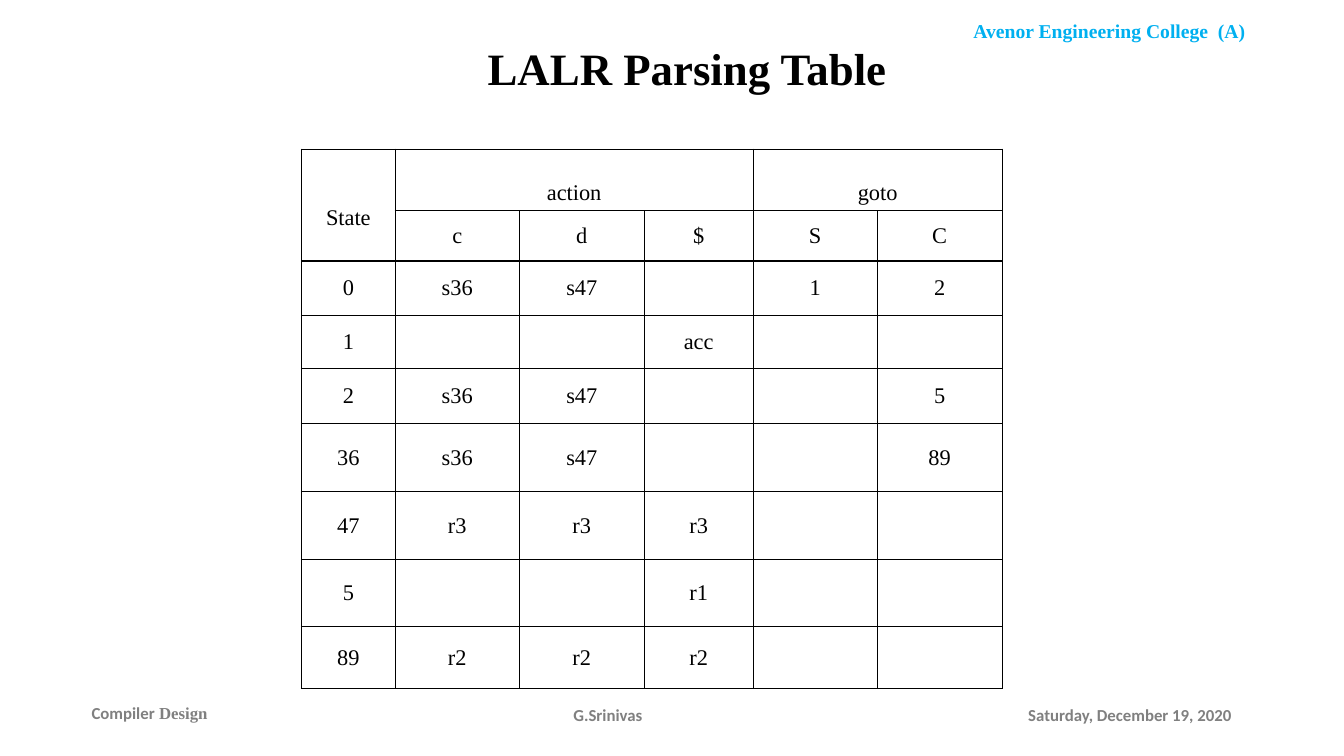
from dataclasses import dataclass

from lxml.etree import SubElement
from pptx import Presentation
from pptx.dml.color import RGBColor
from pptx.enum.text import MSO_ANCHOR as Anchor, MSO_AUTO_SIZE as AutoSize, PP_ALIGN as Align
from pptx.oxml.ns import qn
from pptx.util import Pt

PX = 9144  # one px is a hundredth of an inch
SERIF, SANS = "Times New Roman", "Calibri"
BLACK, GRAY, SKY = "000000", "808080", "00B0F0"


@dataclass(frozen=True)
class Run:
    text: str
    font: str
    size: int
    color: str
    bold: bool = True


@dataclass(frozen=True)
class Label:
    box: tuple[int, int, int, int]
    runs: tuple[Run, ...]
    align: Align
    anchor: Anchor = Anchor.TOP


LABELS = (
    Label((909, 14, 383, 34), (Run("Avenor Engineering College  (A)", SERIF, 14, SKY),), Align.CENTER),
    Label((1010, 694, 230, 40), (Run("Saturday, December 19, 2020", SANS, 12, GRAY),), Align.LEFT),
    Label((453, 694, 300, 40), (Run("G.Srinivas", SANS, 12, GRAY),), Align.CENTER),
    Label((81, 687, 211, 40),
          (Run("Compiler", SANS, 12, GRAY), Run(" Design", SERIF, 12, GRAY)),
          Align.JUSTIFY, Anchor.MIDDLE),
)
TITLE = Label((51, 17, 1261, 100), (Run("LALR Parsing Table", SERIF, 32, BLACK),),
              Align.CENTER, Anchor.MIDDLE)

TABLE_LEFT, TABLE_TOP = 299, 148
COLUMN_WIDTHS = (93, 123, 124, 108, 123, 124)
ROW_HEIGHTS = (61, 50, 54, 53, 54, 68, 67, 67, 61)
ROWS = (
    ("State", "action", "", "", "goto", ""),
    ("", "c", "d", "$", "S", "C"),
    ("0", "s36", "s47", "", "1", "2"),
    ("1", "", "", "acc", "", ""),
    ("2", "s36", "s47", "", "", "5"),
    ("36", "s36", "s47", "", "", "89"),
    ("47", "r3", "r3", "r3", "", ""),
    ("5", "", "", "r1", "", ""),
    ("89", "r2", "r2", "r2", "", ""),
)
MERGES = (((0, 0), (1, 0)), ((0, 1), (0, 3)), ((0, 4), (0, 5)))
HEADER_DROP = 25  # pushes the group headings down by one line


def rgb(color: str) -> RGBColor:
    return RGBColor.from_string(color)


def apply(target, values: dict) -> None:
    for name, value in values.items():
        setattr(target, name, value)


def format_font(font, run: Run) -> None:
    apply(font, {"name": run.font, "size": Pt(run.size), "bold": run.bold})
    font.color.rgb = rgb(run.color)


def write(paragraph, runs: tuple[Run, ...], align: Align) -> None:
    paragraph.alignment = align
    for run in runs:
        piece = paragraph.add_run()
        piece.text = run.text
        format_font(piece.font, run)


def fill_label(shape, label: Label) -> None:
    left, top, width, height = (length * PX for length in label.box)
    apply(shape, {"left": left, "top": top, "width": width, "height": height})
    apply(shape.text_frame, {"word_wrap": True, "auto_size": AutoSize.NONE,
                             "vertical_anchor": label.anchor})
    write(shape.text_frame.paragraphs[0], label.runs, label.align)


def add_borders(cell, color: str) -> None:
    properties = cell._tc.get_or_add_tcPr()
    for side in ("a:lnL", "a:lnR", "a:lnT", "a:lnB"):
        line = SubElement(properties, qn(side), w=str(Pt(1)))
        SubElement(SubElement(line, qn("a:solidFill")), qn("a:srgbClr"), val=color)


def fill_cell(cell, text: str, drop: int) -> None:
    add_borders(cell, BLACK)
    cell.fill.background()
    apply(cell, {"margin_left": 7 * PX, "margin_right": 7 * PX, "margin_top": drop * PX,
                 "margin_bottom": 0, "vertical_anchor": Anchor.MIDDLE})
    if text:
        write(cell.text_frame.paragraphs[0], (Run(text, SERIF, 16, BLACK, False),), Align.CENTER)


def add_parsing_table(slide) -> None:
    frame = slide.shapes.add_table(len(ROWS), len(COLUMN_WIDTHS), TABLE_LEFT * PX, TABLE_TOP * PX,
                                   sum(COLUMN_WIDTHS) * PX, sum(ROW_HEIGHTS) * PX)
    table = frame.table
    apply(table, {"first_row": False, "horz_banding": False})
    for column, width in zip(table.columns, COLUMN_WIDTHS):
        column.width = width * PX
    for row, height in zip(table.rows, ROW_HEIGHTS):
        row.height = height * PX
    for start, end in MERGES:
        table.cell(*start).merge(table.cell(*end))
    for row_index, texts in enumerate(ROWS):
        for column_index, text in enumerate(texts):
            drop = HEADER_DROP if row_index == 0 else 0
            fill_cell(table.cell(row_index, column_index), text, drop)


def main() -> None:
    presentation = Presentation()
    apply(presentation, {"slide_width": 1333 * PX, "slide_height": 750 * PX})
    slide = presentation.slides.add_slide(presentation.slide_layouts[5])

    # Header and footer
    for label in LABELS:
        fill_label(slide.shapes.add_textbox(0, 0, PX, PX), label)

    # Title and table
    fill_label(slide.shapes.title, TITLE)
    add_parsing_table(slide)
    presentation.save("out.pptx")


if __name__ == "__main__":
    main()
